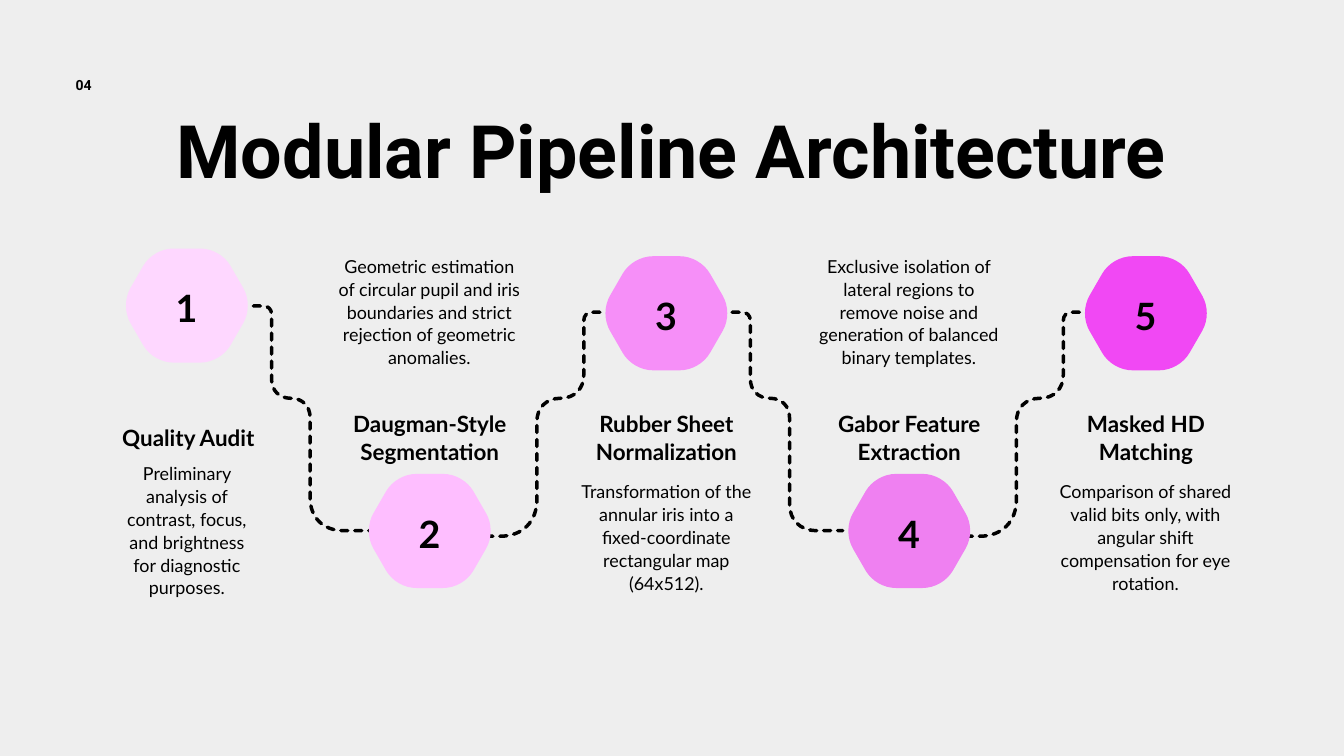
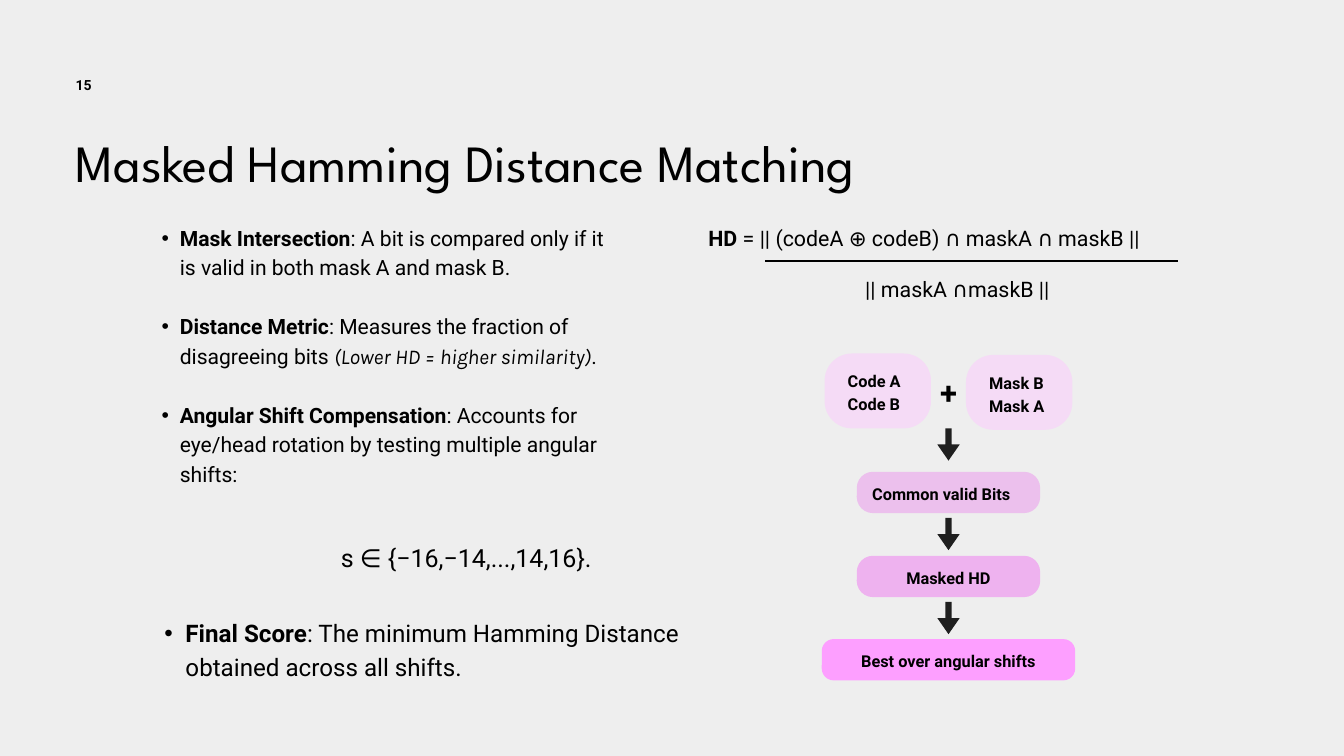
import pptx
import pptx.util
import pptx.dml.color
import pptx.enum.dml
import pptx.enum.shapes
import pptx.enum.text
import pptx.oxml.ns
import lxml.etree

PX = 9525  # EMU in one px, 96 px to the inch
COLORS = {
    "page": "EEEEEE", "ink": "000000", "arrow": "1F1F1F",
    "step1": "FED7FF", "step2": "FEBEFF", "step3": "F68FF8",
    "step4": "EF80F1", "step5": "F148F4",
    "input": "F5DBF6", "common": "ECC0ED", "masked": "EEB2EF", "best": "FD9FFF",
}
LEFT = pptx.enum.text.PP_ALIGN.LEFT
CENTER = pptx.enum.text.PP_ALIGN.CENTER
SHAPES = pptx.enum.shapes.MSO_SHAPE
BODY = dict(font="Lato", size=19.2, leading=24.5, align=CENTER)
HEADING = dict(font="Lato", size=24, leading=30.7, align=CENTER, bold=True)
NUMERAL = dict(font="Lato", size=40.3, leading=51.5, align=CENTER, bold=True)
CHIP_LABEL = dict(size=17.5, leading=24.5, bold=True)
qn = pptx.oxml.ns.qn


# ---- Shared helpers ----
def rgb(name):
    return pptx.dml.color.RGBColor.from_string(COLORS[name])


def emu(*lengths):
    return [round(length * PX) for length in lengths]


def add_bullet(paragraph, indent, hanging):
    paragraph.level = 1
    props = paragraph._p.get_or_add_pPr()
    props.set("marL", str(indent * PX))
    props.set("indent", str(-hanging * PX))
    lxml.etree.SubElement(props, qn("a:buFont")).set("typeface", "Arial")
    lxml.etree.SubElement(props, qn("a:buChar")).set("char", "•")


def write_text(slide, box, text, holder=None, font="Roboto", size=18, leading=None,
               align=LEFT, bold=False, bullet=None, gap=0):
    """Text is a string or a list of paragraphs, each a list of (words, format) runs."""
    if holder is None:
        holder = slide.shapes.add_textbox(*emu(*box))
    else:
        holder.left, holder.top, holder.width, holder.height = emu(*box)
    frame = holder.text_frame
    frame.word_wrap = True
    frame.auto_size = pptx.enum.text.MSO_AUTO_SIZE.NONE
    frame.vertical_anchor = pptx.enum.text.MSO_ANCHOR.TOP
    frame.margin_left = frame.margin_top = frame.margin_right = frame.margin_bottom = 0
    paragraphs = [[(text, {})]] if isinstance(text, str) else text
    for index, runs in enumerate(paragraphs):
        paragraph = frame.add_paragraph() if index else frame.paragraphs[0]
        if bullet:
            add_bullet(paragraph, *bullet)
        paragraph.alignment = align
        paragraph.line_spacing = pptx.util.Pt(leading)
        if index and gap:
            paragraph.space_before = pptx.util.Pt(gap)
        for words, style in runs:
            run = paragraph.add_run()
            run.text = words
            run.font.name = style.get("font", font)
            run.font.size = pptx.util.Pt(size)
            run.font.bold = style.get("bold", bold)
            run.font.italic = style.get("italic", False)
            run.font.color.rgb = rgb("ink")


def paint(shape, color):
    shape.shadow.inherit = False
    shape.fill.solid()
    shape.fill.fore_color.rgb = rgb(color)
    shape.line.fill.background()


def toward(start, end, distance):
    dx, dy = end[0] - start[0], end[1] - start[1]
    share = distance / (dx * dx + dy * dy) ** 0.5
    return start[0] + dx * share, start[1] + dy * share


def round_corner(before, corner, after, cut):
    """Start, two handles and end of the curve that replaces a corner."""
    return [toward(corner, before, cut), toward(corner, before, cut * 0.4),
            toward(corner, after, cut * 0.4), toward(corner, after, cut)]


def draw_outline(slide, points, close, first_curve):
    """Outline in which three segments in every four, from first_curve on, are one curve."""
    start, *rest = [emu(*point) for point in points]
    builder = slide.shapes.build_freeform(*start)
    builder.add_line_segments(rest, close=close)
    shape = builder.convert_to_shape()
    shape.shadow.inherit = False
    segments = list(shape._element.iter(qn("a:lnTo")))
    for i in range(first_curve, len(segments) - 2, 4):
        curve = shape._element.makeelement(qn("a:cubicBezTo"))
        segments[i].addprevious(curve)
        for segment in segments[i:i + 3]:
            curve.append(segment[0])
            segment.getparent().remove(segment)
    return shape


def start_slide(prs, number, title, box, **style):
    slide = prs.slides.add_slide(prs.slide_layouts[5])
    write_text(slide, box, title, holder=slide.shapes.title, **style)
    write_text(slide, (108, 105, 275, 25), number, size=15, leading=21, bold=True)
    return slide


# ---- Pipeline ----
def add_hexagon(slide, left, top, color):
    corners = [(left + x, top + y) for x, y in
               ((-8, 81.5), (39, 0), (135, 0), (182, 81.5), (135, 163), (39, 163))]
    points = []
    for i, corner in enumerate(corners):
        points += round_corner(corners[i - 1], corner, corners[(i + 1) % 6], 29)
    paint(draw_outline(slide, points, True, 0), color)


def add_link(slide, left, top, xs, start_y, end_y, end_radius):
    """Dashed line that leaves an upper step, jogs halfway and meets a lower one."""
    start_x, upper_x, lower_x, end_x = (left + x for x in xs)
    start_y, jog_y, end_y = top + start_y, top + 214, top + end_y
    bends = [(start_x, start_y), (upper_x, start_y), (upper_x, jog_y),
             (lower_x, jog_y), (lower_x, end_y), (end_x, end_y)]
    jog_radius = abs(lower_x - upper_x) / 2
    points = [bends[0]]
    for i, radius in enumerate((12, jog_radius, jog_radius, end_radius), 1):
        points += round_corner(*bends[i - 1:i + 2], radius)
    link = draw_outline(slide, points + [bends[-1]], False, 1)
    link.fill.background()
    link.line.color.rgb = rgb("ink")
    link.line.width = pptx.util.Pt(3.75)
    link.line.dash_style = pptx.enum.dml.MSO_LINE.SQUARE_DOT
    link._element.spPr.find(qn("a:ln")).set("cap", "rnd")


def add_pipeline(slide, box):
    left, top = box[:2]
    for xs, start_y, end_y, end_radius in (
            ((182, 208, 263, 357), 82, 403, 47),
            ((677, 654, 587, 483), 91, 411, 52),
            ((866, 892, 948, 1024), 91, 403, 38),
            ((1362, 1339, 1272, 1168), 91, 411, 52)):
        add_link(slide, left, top, xs, start_y, end_y, end_radius)

    # Centre, hexagon top, heading, heading box, body, body box (left from centre, top, size)
    wide_heading = (-140, 228, 280, 79)
    upper_body, lower_body = (-136, 8, 271, 192), (-136, 330, 271, 159)
    steps = (
        (87, 0, "Quality Audit", (-124, 248, 252, 38),
         "Preliminary analysis of contrast, focus, and brightness for diagnostic purposes.",
         (-101, 304, 202, 224)),
        (434, 322, "Daugman-Style Segmentation", wide_heading,
         "Geometric estimation of circular pupil and iris boundaries and strict rejection "
         "of geometric anomalies.", upper_body),
        (772, 11, "Rubber Sheet Normalization", wide_heading,
         "Transformation of the annular iris into a fixed-coordinate rectangular map (64x512).",
         (-125, 330, 250, 159)),
        (1119, 322, "Gabor Feature Extraction", wide_heading,
         "Exclusive isolation of lateral regions to remove noise and generation of balanced "
         "binary templates.", upper_body),
        (1457, 11, "Masked HD Matching", wide_heading,
         "Comparison of shared valid bits only, with angular shift compensation for eye "
         "rotation.", lower_body),
    )
    for number, (center, hex_y, heading, heading_box, body, body_box) in enumerate(steps, 1):
        x = left + center
        add_hexagon(slide, x - 87, top + hex_y, f"step{number}")
        write_text(slide, (x - 18, top + hex_y + 48, 35, 65), str(number), **NUMERAL)
        for words, (dx, dy, width, height), style in (
                (heading, heading_box, HEADING), (body, body_box, BODY)):
            write_text(slide, (x + dx, top + dy, width, height), words, **style)


# ---- Matching rules ----
def add_rules(slide, box):
    left, top, width = box[:3]
    strong = {"bold": True}
    rules = [
        [("Mask Intersection", strong),
         (": A bit is compared only if it is valid in both mask A and mask B.", {})],
        [("Distance Metric", strong), (": Measures the fraction of disagreeing bits ", {}),
         ("(Lower HD = higher similarity)", {"font": "Karla", "italic": True}), (".", {})],
        [("Angular Shift Compensation", strong),
         (": Accounts for eye/head rotation by testing multiple angular shifts:", {})],
    ]
    write_text(slide, (left, top, width, 459), rules, size=22.6, leading=31.6,
               bullet=(51, 26), gap=31.6)
    write_text(slide, (left + 281, top + 452, 381, 48), "s ∈ {−16,−14,...,14,16}.",
               size=26.8, leading=37.5)
    score = [[("Final Score", strong),
              (": The minimum Hamming Distance obtained across all shifts.", {})]]
    write_text(slide, (left, top + 561, 805, 95), score, size=25.9, leading=36.2,
               bullet=(59, 30))


# ---- Distance formula ----
def add_formula(slide, box):
    left, top, width, height = box
    style = dict(size=22.9, leading=32.1)
    numerator = [[("HD", {"bold": True}),
                  (" = || (codeA ⊕ codeB) ∩ maskA ∩ maskB ||", {})]]
    write_text(slide, (left, top, width, 40), numerator, **style)
    write_text(slide, (left + 224, top + height - 40, 286, 40), "|| maskA ∩maskB ||", **style)
    bar = slide.shapes.add_connector(
        pptx.enum.shapes.MSO_CONNECTOR.STRAIGHT,
        *emu(left + 81, top + 57, left + 671, top + 57))
    bar.line.color.rgb = rgb("ink")
    bar.line.width = pptx.util.Pt(2.37)
    lxml.etree.SubElement(bar._element.spPr, qn("a:effectLst"))


# ---- Matching flow ----
def add_chip(slide, box, radius, color, text, pad, align=CENTER):
    left, top, width, height = box
    chip = slide.shapes.add_shape(SHAPES.ROUNDED_RECTANGLE, *emu(*box))
    chip.adjustments[0] = radius / height
    paint(chip, color)
    pad_x, pad_y = pad
    write_text(slide, (left + pad_x, top + pad_y, width - 2 * pad_x, height - 2 * pad_y),
               text, align=align, **CHIP_LABEL)


def add_flow(slide, box):
    left, top, width = box[:3]
    for x, y, names in ((4, 0, ("Code A", "Code B")), (206, 2, ("Mask B", "Mask A"))):
        add_chip(slide, (left + x, top + y, 152, 107), 39, "input",
                 [[(name, {})] for name in names], (33, 21), LEFT)
    write_text(slide, (left + 169, top + 20, 22, 58), "+", size=33.2, leading=46.4, bold=True)

    for y, inset, radius, color, text, pad_x, align in (
            (169, 50, 23, "common", "Common valid Bits", 22, LEFT),
            (289, 50, 23, "masked", "Masked HD", 22, CENTER),
            (408, 0, 17, "best", "Best over angular shifts", 7, CENTER)):
        add_chip(slide, (left + inset, top + y, width - 2 * inset, 59), radius, color,
                 text, (pad_x, 13), align)

    for y in (107, 235, 355):
        arrow = slide.shapes.add_shape(SHAPES.DOWN_ARROW, *emu(left + 165, top + y, 32, 46))
        arrow.adjustments[0], arrow.adjustments[1] = 0.27, 0.72
        paint(arrow, "arrow")


def main():
    prs = pptx.Presentation()
    prs.slide_width, prs.slide_height = emu(1920, 1080)
    background = prs.slide_master.background.fill
    background.solid()
    background.fore_color.rgb = rgb("page")

    pipeline = start_slide(prs, "04", "Modular Pipeline Architecture", (183, 129, 1552, 141),
                           size=78.9, leading=110.5, align=CENTER, bold=True)
    add_pipeline(pipeline, (180, 355, 1543, 529))

    matching = start_slide(prs, "15", "Masked Hamming Distance Matching",
                           (108, 171, 1590, 100), font="League Spartan", size=56, leading=78.5)
    add_rules(matching, (206, 316, 661, 656))
    add_formula(matching, (1012, 316, 685, 112))
    add_flow(matching, (1174, 505, 362, 467))
    prs.save("out.pptx")


if __name__ == "__main__":
    main()
